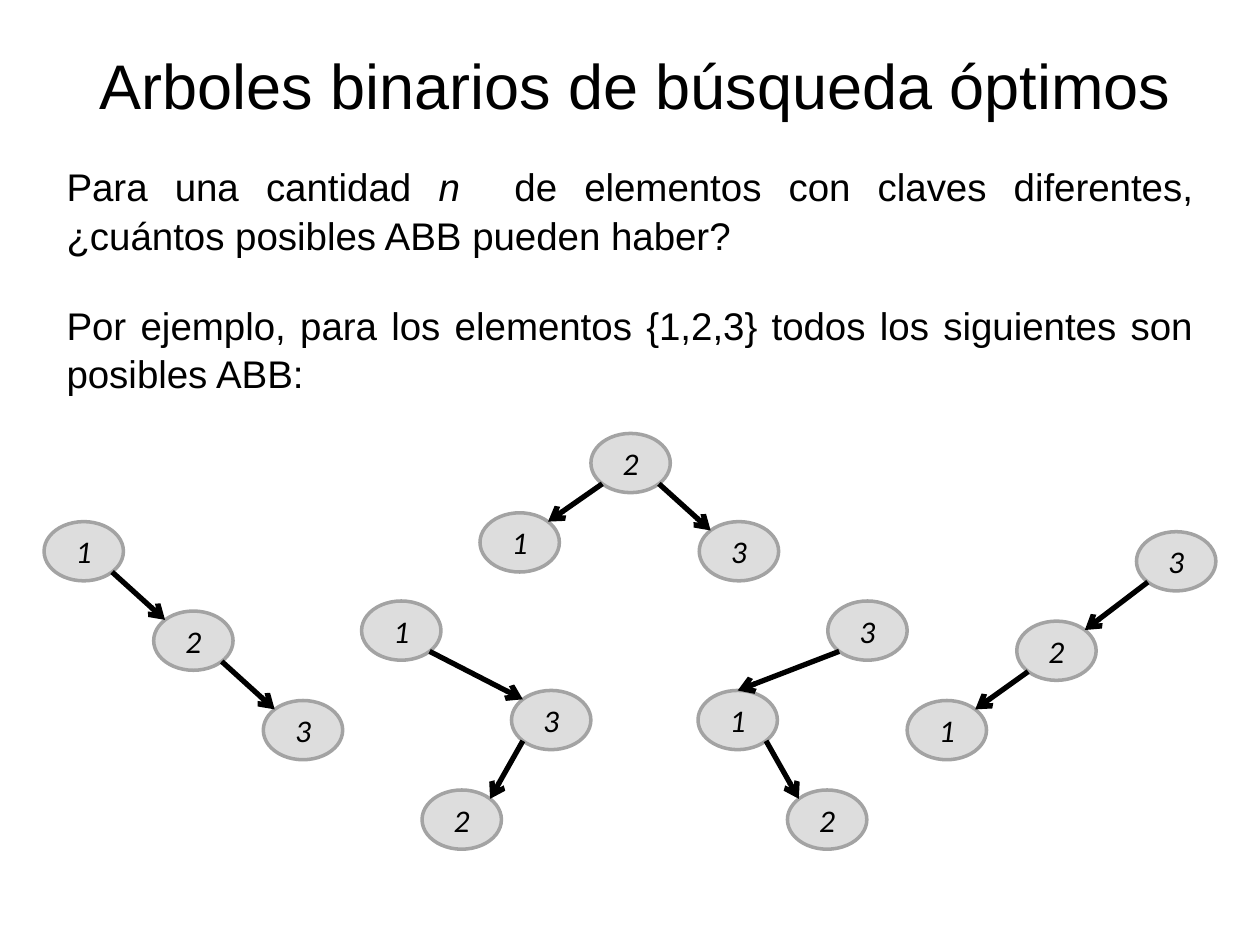
import pptx
import pptx.dml.color
import pptx.enum.shapes
import pptx.enum.text
import pptx.oxml
import pptx.oxml.ns
import pptx.util
from pptx.util import Inches

BLACK = pptx.dml.color.RGBColor(0x00, 0x00, 0x00)
NODE_FILL = pptx.dml.color.RGBColor(0xDD, 0xDD, 0xDD)
NODE_LINE = pptx.dml.color.RGBColor(0xA3, 0xA3, 0xA3)
ALIGN = pptx.enum.text.PP_ALIGN
ANCHOR = pptx.enum.text.MSO_ANCHOR

NODE_WIDTH, NODE_HEIGHT = 0.63, 0.47
# Distance from the node's box to the diagonal points of the ellipse
INSET_X, INSET_Y = 0.09, 0.07

# Each tree: node positions by key, then (parent, child) edges
TREES = [
    ({1: (0.35, 4.14), 2: (1.22, 4.85), 3: (2.09, 5.56)}, [(1, 2), (2, 3)]),
    ({1: (3.81, 4.07), 2: (4.69, 3.44), 3: (5.55, 4.14)}, [(2, 1), (2, 3)]),
    ({1: (7.2, 5.56), 2: (8.07, 4.93), 3: (9.02, 4.22)}, [(2, 1), (3, 2)]),
    ({1: (2.87, 4.77), 2: (3.35, 6.27), 3: (4.06, 5.48)}, [(1, 3), (3, 2)]),
    ({1: (5.54, 5.48), 2: (6.25, 6.27), 3: (6.57, 4.77)}, [(3, 1), (1, 2)]),
]
# Edge (tree index, parent, child) that reaches the top of its child
TOP_EDGE = (4, 3, 1)


class TreeSlide:
    text_font = "Arial"
    node_font = "Calibri"

    def __init__(self, page):
        self.page = page

    def style(self, span, font, size, italic=False):
        span.font.name = font
        span.font.size = pptx.util.Pt(size)
        span.font.italic = italic
        span.font.color.rgb = BLACK

    def text(self, left, top, width, height, parts, size, align,
             anchor=ANCHOR.TOP, spacing=1.0):
        """Add one paragraph made of (wording, italic) parts."""
        box = self.page.shapes.add_textbox(
            Inches(left), Inches(top), Inches(width), Inches(height))
        frame = box.text_frame
        frame.word_wrap = True
        frame.vertical_anchor = anchor
        para = frame.paragraphs[0]
        para.alignment = align
        para.line_spacing = spacing
        for wording, italic in parts:
            span = para.add_run()
            span.text = wording
            self.style(span, self.text_font, size, italic)

    def node(self, left, top, key):
        node = self.page.shapes.add_shape(
            pptx.enum.shapes.MSO_SHAPE.OVAL, Inches(left), Inches(top),
            Inches(NODE_WIDTH), Inches(NODE_HEIGHT))
        node.shadow.inherit = False
        node.fill.solid()
        node.fill.fore_color.rgb = NODE_FILL
        node.line.color.rgb = NODE_LINE
        node.line.width = pptx.util.Pt(2)
        frame = node.text_frame
        frame.margin_top = frame.margin_bottom = 0
        frame.margin_left = frame.margin_right = 0
        frame.vertical_anchor = ANCHOR.MIDDLE
        frame.text = str(key)
        para = frame.paragraphs[0]
        para.alignment = ALIGN.CENTER
        self.style(para.runs[0], self.node_font, 18, italic=True)

    def edge(self, parent, child, to_top=False):
        """Join the facing diagonal points of two nodes with an arrow."""
        near, far = INSET_X, NODE_WIDTH - INSET_X
        goes_right = child[0] > parent[0]
        start_x = parent[0] + (far if goes_right else near)
        start_y = parent[1] + NODE_HEIGHT - INSET_Y
        end_x = child[0] + (near if goes_right else far)
        end_y = child[1] + INSET_Y
        if to_top:
            end_x, end_y = child[0] + NODE_WIDTH / 2, child[1]
        arrow = self.page.shapes.add_connector(
            pptx.enum.shapes.MSO_CONNECTOR.STRAIGHT, Inches(start_x),
            Inches(start_y), Inches(end_x), Inches(end_y))
        arrow.line.color.rgb = BLACK
        arrow.line.width = pptx.util.Pt(3)
        outline = arrow.line._get_or_add_ln()
        head = pptx.oxml.ns.qn("a:tailEnd")
        outline.append(outline.makeelement(head, {"type": "arrow"}))
        properties = arrow._element.spPr
        properties.append(
            properties.makeelement(pptx.oxml.ns.qn("a:effectLst"), {}))


def main():
    deck = pptx.Presentation()
    deck.slide_width, deck.slide_height = Inches(10), Inches(7.5)
    slide = TreeSlide(deck.slides.add_slide(deck.slide_layouts[6]))

    # Title
    slide.text(0.51, 0.21, 9.06, 0.81,
               [("Arboles binarios de búsqueda óptimos", False)],
               36, ALIGN.CENTER, ANCHOR.BOTTOM)

    # Question and example
    question = [
        ("Para una cantidad ", False),
        ("n ", True),
        (" de elementos con claves diferentes, "
         "¿cuántos posibles ABB pueden haber?", False),
    ]
    example = [("Por ejemplo, para los elementos {1,2,3} todos los "
                "siguientes son posibles ABB:", False)]
    for top, parts in ((1.23, question), (2.33, example)):
        slide.text(0.43, top, 9.14, 0.87, parts, 22, ALIGN.JUSTIFY,
                   spacing=1.05)

    # The five search trees
    for index, (nodes, edges) in enumerate(TREES):
        for key, (left, top) in nodes.items():
            slide.node(left, top, key)
        for parent, child in edges:
            slide.edge(nodes[parent], nodes[child],
                       to_top=(index, parent, child) == TOP_EDGE)

    deck.save("out.pptx")


if __name__ == "__main__":
    main()
